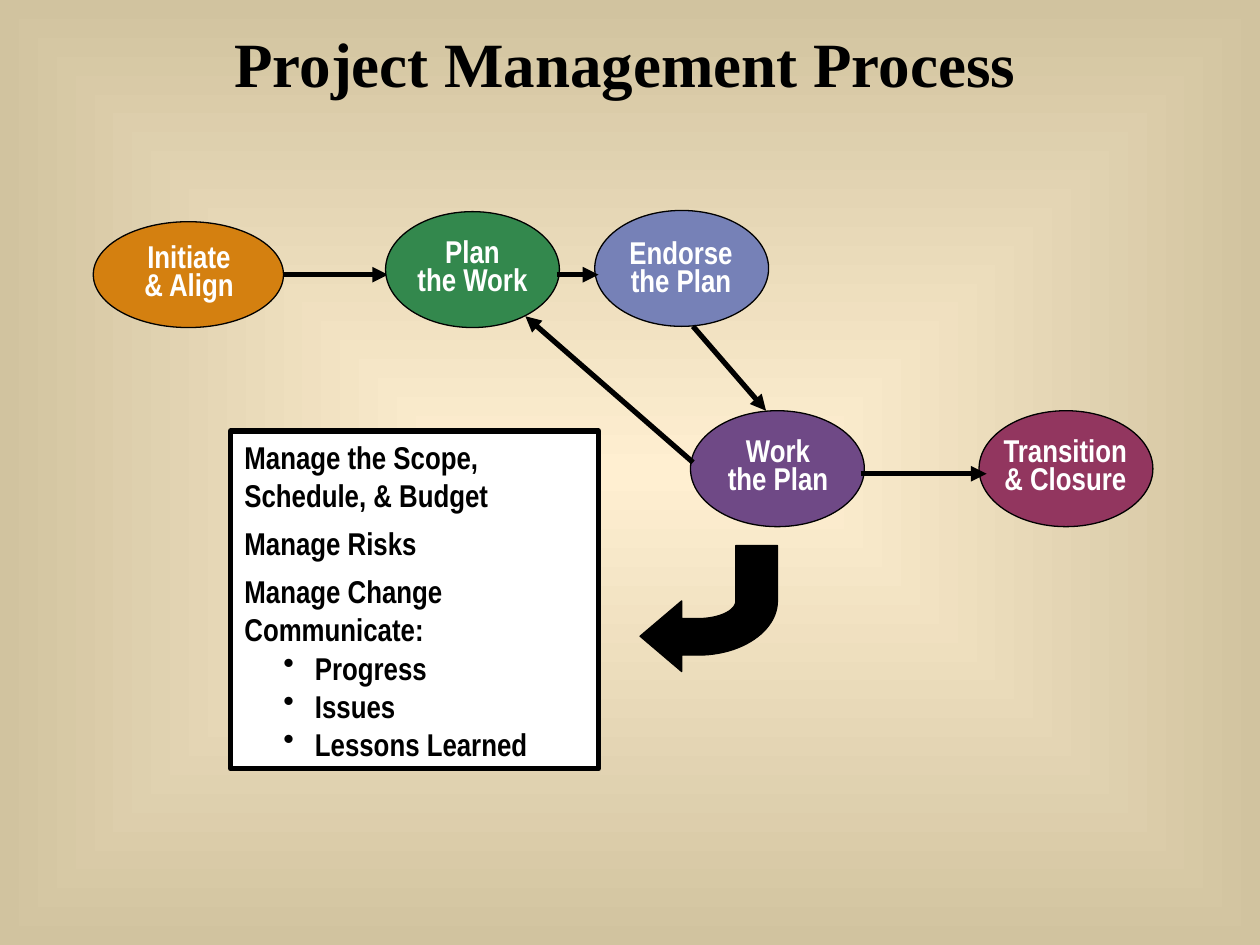
from dataclasses import dataclass
from math import cos, pi, sin

from lxml.etree import SubElement
from pptx import Presentation
from pptx.dml.color import RGBColor
from pptx.enum.shapes import MSO_CONNECTOR, MSO_SHAPE
from pptx.enum.text import MSO_ANCHOR, MSO_AUTO_SIZE, PP_ALIGN
from pptx.oxml.ns import qn
from pptx.util import Inches, Pt


@dataclass(frozen=True)
class Theme:
    """Colours, fonts and sizes of the slide."""
    ink: str = "000000"
    paper: str = "FFFFFF"
    glow: str = "FFEFD1"
    edge: str = "D1C39F"
    orange: str = "D48010"
    green: str = "33884D"
    blue: str = "7681B7"
    purple: str = "6F4986"
    wine: str = "92365F"
    title_font: str = "Times New Roman"
    body_font: str = "Arial Narrow"
    title_size: float = 36
    body_size: float = 18
    thin: float = 0.75
    thick: float = 3
    tight: float = 0.75
    gap: float = 5.6


class ProcessSlide:
    """Draws process elements on a grid of 100 columns by 75 rows."""

    def __init__(self, deck, theme):
        """Open a title-only slide in the deck."""
        self.theme = theme
        self.column = deck.slide_width / 100
        self.row = deck.slide_height / 75
        self.slide = deck.slides.add_slide(deck.slide_layouts[5])

    def place(self, left, top, width, height):
        """Turn grid units into slide lengths."""
        return (round(left * self.column), round(top * self.row),
                round(width * self.column), round(height * self.row))

    def paint(self, shape, fill, weight):
        """Give a shape a flat fill and a dark outline."""
        shape.shadow.inherit = False
        shape.fill.solid()
        shape.fill.fore_color.rgb = RGBColor.from_string(fill)
        shape.line.color.rgb = RGBColor.from_string(self.theme.ink)
        shape.line.width = Pt(weight)

    def set_text(self, frame, text, font, size, color, align):
        """Fill a text frame and format every run."""
        frame.text = text
        frame.word_wrap = True
        for paragraph in frame.paragraphs:
            paragraph.alignment = align
            for run in paragraph.runs:
                run.font.name = font
                run.font.size = Pt(size)
                run.font.bold = True
                run.font.color.rgb = RGBColor.from_string(color)

    def body(self, frame, text, color, align):
        """Set body text with the shared margins."""
        frame.margin_left = frame.margin_right = Inches(0.11)
        frame.margin_top = frame.margin_bottom = Inches(0.06)
        frame.vertical_anchor = MSO_ANCHOR.TOP
        frame.auto_size = MSO_AUTO_SIZE.SHAPE_TO_FIT_TEXT
        self.set_text(frame, text, self.theme.body_font, self.theme.body_size, color, align)

    def background(self):
        """Fill the slide with a glow that darkens towards its edges."""
        fill = self.slide.background.fill
        fill.gradient()
        for stop, color in zip(fill.gradient_stops, (self.theme.glow, self.theme.edge)):
            stop.color.rgb = RGBColor.from_string(color)
        linear = next(self.slide.element.iter(qn("a:lin")))
        gradient = linear.getparent()
        gradient.remove(linear)
        rings = SubElement(gradient, qn("a:path"), {"path": "rect"})
        SubElement(rings, qn("a:fillToRect"), dict.fromkeys("ltrb", "50000"))

    def title(self, text, *box):
        """Move and format the title placeholder."""
        heading = self.slide.shapes.title
        heading.left, heading.top, heading.width, heading.height = self.place(*box)
        frame = heading.text_frame
        frame.auto_size = MSO_AUTO_SIZE.NONE
        frame.vertical_anchor = MSO_ANCHOR.MIDDLE
        self.set_text(frame, text, self.theme.title_font, self.theme.title_size,
                      self.theme.ink, PP_ALIGN.CENTER)

    def stage(self, text, color, oval_box, label_box):
        """Group a coloured oval with its label."""
        group = self.slide.shapes.add_group_shape()
        oval = group.shapes.add_shape(MSO_SHAPE.OVAL, *self.place(*oval_box))
        self.paint(oval, color, self.theme.thin)
        label = group.shapes.add_textbox(*self.place(*label_box)).text_frame
        self.body(label, text, self.theme.paper, PP_ALIGN.CENTER)
        for paragraph in label.paragraphs:
            paragraph.line_spacing = self.theme.tight

    def arrow(self, *ends):
        """Draw a straight arrow between two grid points."""
        link = self.slide.shapes.add_connector(MSO_CONNECTOR.STRAIGHT, *self.place(*ends))
        link.line.color.rgb = RGBColor.from_string(self.theme.ink)
        link.line.width = Pt(self.theme.thick)
        outline = next(link.element.iter(qn("a:ln")))
        SubElement(outline, qn("a:tailEnd"), {"type": "triangle"})
        SubElement(outline.getparent(), qn("a:effectLst"))

    def duties(self, plain, tight, bullets, *box):
        """Draw the framed list of duties."""
        panel = self.slide.shapes.add_shape(MSO_SHAPE.RECTANGLE, *self.place(*box))
        self.paint(panel, self.theme.paper, self.theme.thick)
        frame = panel.text_frame
        self.body(frame, "\n".join(plain + tight + bullets), self.theme.ink, PP_ALIGN.LEFT)
        for index, paragraph in enumerate(frame.paragraphs):
            paragraph.space_before = Pt(self.theme.gap)
            if index >= len(plain):
                paragraph.line_spacing = self.theme.tight
            if index >= len(plain + tight):
                paragraph.level = 1
                properties = paragraph._p.get_or_add_pPr()
                properties.set("marL", str(Inches(0.56)))
                properties.set("indent", str(Inches(-0.25)))
                SubElement(properties, qn("a:buChar"), {"char": "•"})

    def bent_arrow(self, left, top, width, height):
        """Draw an arrow that comes down and bends to the left."""
        neck, bend, shaft = left + 3.3, left + 4.6, left + 7.6
        right, turn, bottom = left + width, top + 4.4, top + height
        middle = bottom - 2.8

        def curve(across, down, angles):
            """Trace a quarter ellipse around the bend."""
            return [(bend + across * cos(a), turn + down * sin(a)) for a in angles]

        rising = [pi / 2 * step / 24 for step in range(25)]
        outline = [(left, middle), (neck, bottom), (neck, turn + 4.3),
                   *curve(right - bend, 4.3, rising[::-1]),
                   (right, top), (shaft, top),
                   *curve(shaft - bend, 1.4, rising),
                   (neck, turn + 1.4), (neck, turn)]
        points = [(round(x * self.column), round(y * self.row)) for x, y in outline]
        builder = self.slide.shapes.build_freeform(*points[0])
        builder.add_line_segments(points[1:], close=True)
        self.paint(builder.convert_to_shape(), self.theme.ink, self.theme.thin)


def main():
    """Build and save the process slide."""
    deck = Presentation()
    deck.slide_width, deck.slide_height = Inches(10), Inches(7.5)
    theme = Theme()
    process = ProcessSlide(deck, theme)
    process.background()
    process.title("Project Management Process", 7.5, 0.8, 84.2, 8.3)
    process.duties(
        ["Manage the Scope, Schedule, & Budget", "Manage Risks", "Manage Change"],
        ["Communicate:"],
        ["Progress", "Issues", "Lessons Learned"],
        18.3, 34.2, 29.2, 26.8)

    oval = (13.8, 9.2)
    process.stage("Initiate\n& Align", theme.orange,
                  (7.4, 17.6, 15.1, 8.4), (5.8, 18.9, 18.4, 5.6))
    process.stage("Endorse\nthe Plan", theme.blue,
                  (47.2, 16.7, *oval), (44, 18.6, 20.1, 5.6))
    process.stage("Work\nthe Plan", theme.purple,
                  (54.8, 32.6, *oval), (51.7, 34.3, 20.1, 5.6))
    process.stage("Transition\n& Closure", theme.wine,
                  (77.7, 32.6, *oval), (75.8, 34.3, 17.5, 5.6))
    process.arrow(22.5, 21.8, 30.8, 21.8)
    process.arrow(55, 25.9, 60.8, 32.6)
    process.arrow(68.3, 37.6, 78.3, 37.6)
    process.stage("Plan\nthe Work", theme.green,
                  (30.6, 16.8, *oval), (28.3, 18.5, 18.4, 5.6))
    process.arrow(55, 36.7, 41.7, 25.1)
    process.arrow(44.2, 21.8, 47.5, 21.8)
    process.bent_arrow(50.8, 43.3, 10.9, 10)
    deck.save("out.pptx")


if __name__ == "__main__":
    main()
